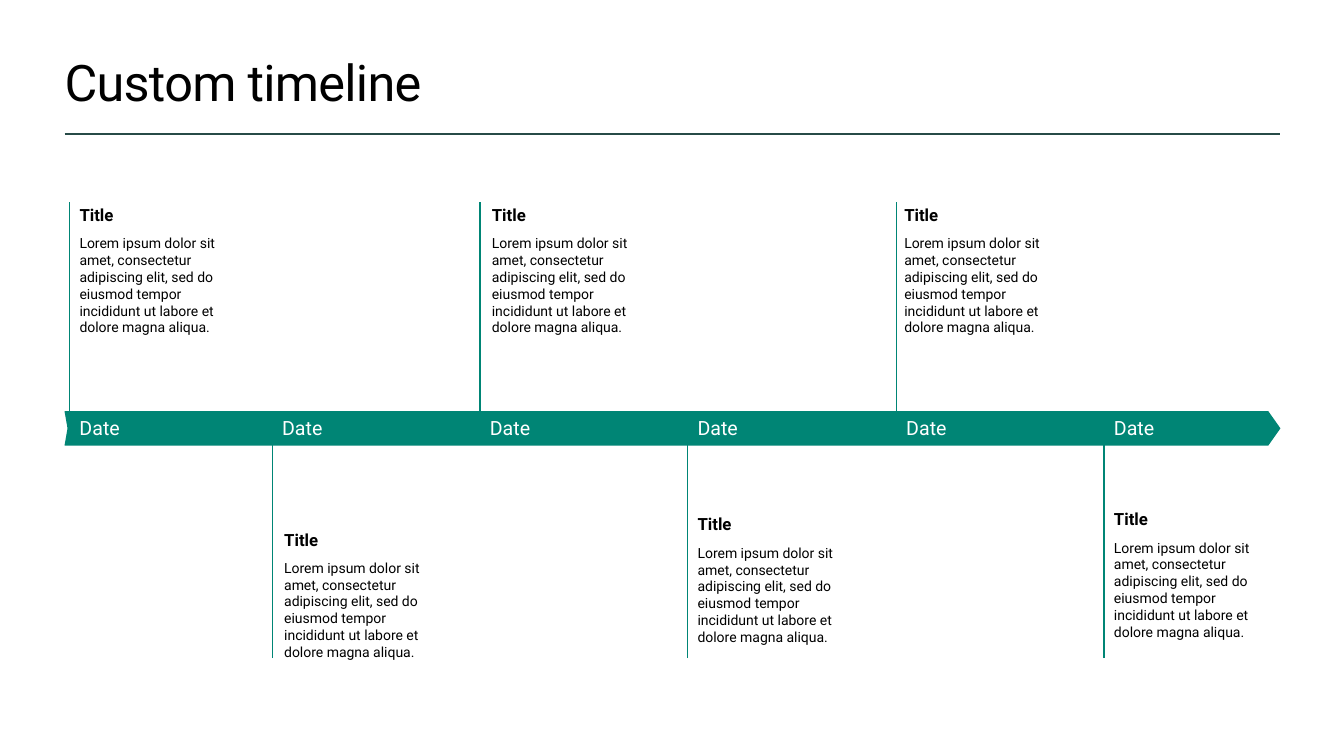
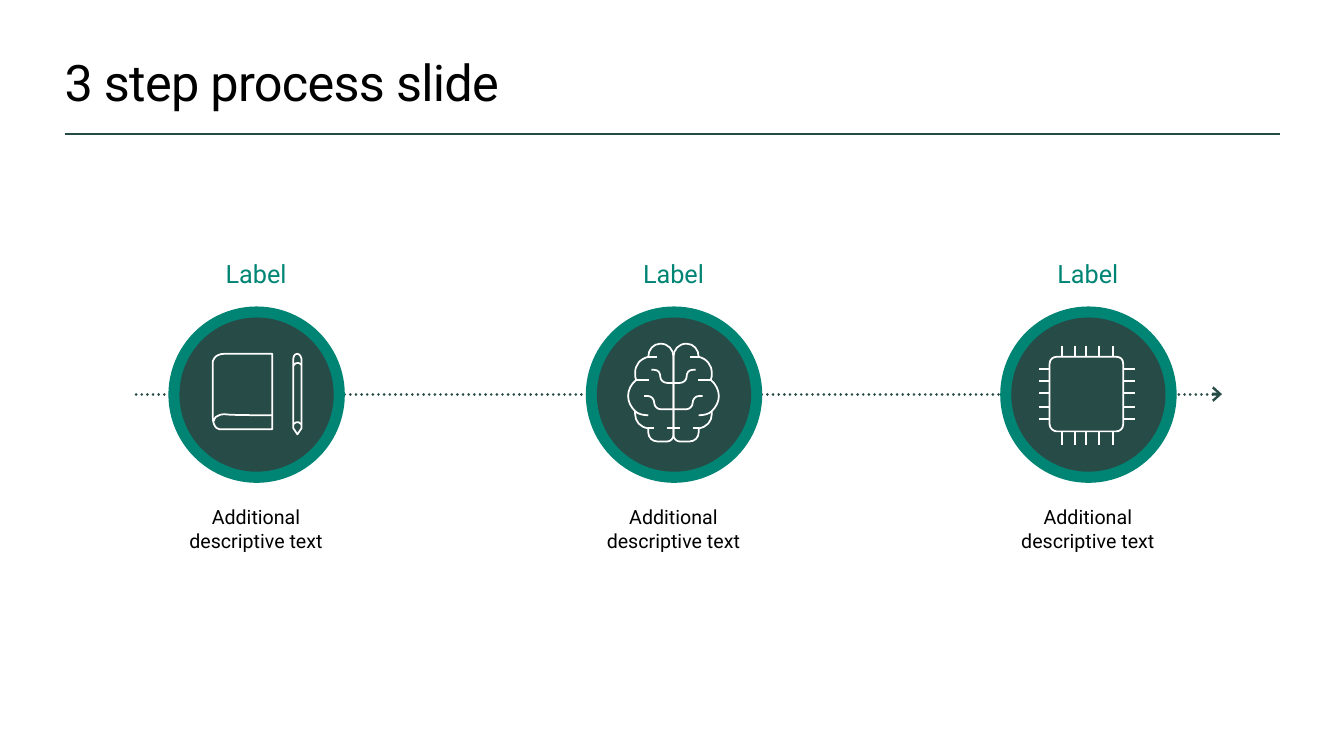
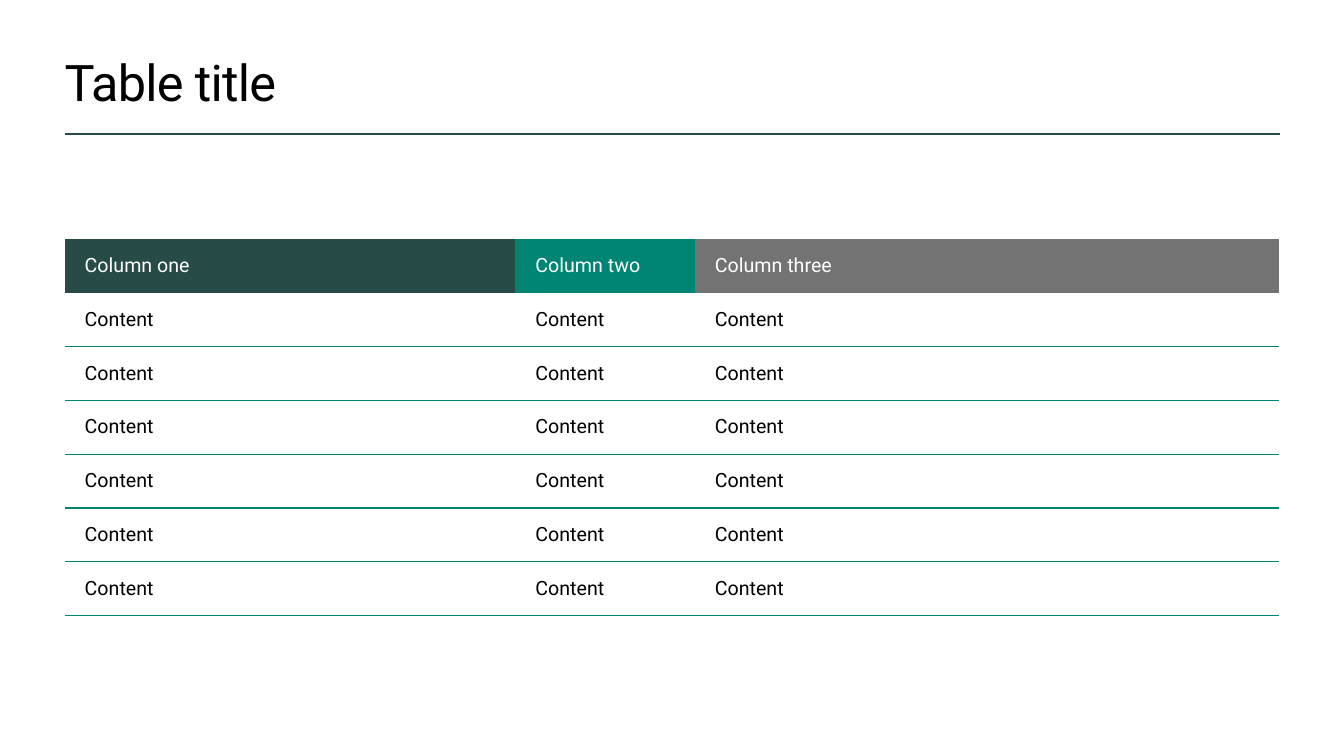
from lxml import etree
from pptx import Presentation
from pptx.dml.color import RGBColor
from pptx.enum.dml import MSO_LINE
from pptx.enum.shapes import MSO_CONNECTOR, MSO_SHAPE
from pptx.enum.text import MSO_ANCHOR, PP_ALIGN
from pptx.oxml.ns import qn
from pptx.util import Pt

PX = 9144  # EMU in one px: 100 px to the inch
FONT = "Roboto"
COLORS = {
    "text": "000000",
    "white": "FFFFFF",
    "dark": "274B47",
    "teal": "008575",
    "gray": "737373",
}
STRAIGHT = MSO_CONNECTOR.STRAIGHT
OVAL = MSO_SHAPE.OVAL
ROUND_DOT = MSO_LINE.ROUND_DOT
TOP, MIDDLE, BOTTOM = MSO_ANCHOR.TOP, MSO_ANCHOR.MIDDLE, MSO_ANCHOR.BOTTOM
LEFT, CENTER = PP_ALIGN.LEFT, PP_ALIGN.CENTER
NO_TABLE_STYLE = "{2D5ABB26-0587-4C30-8999-92F81FD0307C}"

LOREM = ("Lorem ipsum dolor sit amet, consectetur adipiscing elit, sed do "
         "eiusmod tempor incididunt ut labore et dolore magna aliqua.")


# Shared helpers
def px(value):
    return round(value * PX)


def color(name):
    return RGBColor.from_string(COLORS[name])


def style_text(text_frame, size, color_name, bold=False, align=LEFT, spacing=None):
    for paragraph in text_frame.paragraphs:
        paragraph.alignment = align
        for run in paragraph.runs:
            run.font.name = FONT
            run.font.size = Pt(size)
            run.font.bold = bold
            run.font.color.rgb = color(color_name)
            if spacing is not None:
                run._r.get_or_add_rPr().set("spc", str(spacing))


def add_text(slide, box, text, size, color_name="text", inset=(0, 0),
             anchor=TOP, **style):
    text_frame = slide.shapes.add_textbox(*map(px, box)).text_frame
    text_frame.word_wrap = True
    text_frame.vertical_anchor = anchor
    text_frame.margin_left = text_frame.margin_right = px(inset[0])
    text_frame.margin_top = text_frame.margin_bottom = px(inset[1])
    text_frame.text = text
    style_text(text_frame, size, color_name, **style)


def add_line(slide, start, end, color_name, width):
    connector = slide.shapes.add_connector(STRAIGHT, *map(px, start + end))
    connector.line.color.rgb = color(color_name)
    connector.line.width = Pt(width)
    etree.SubElement(connector._element.spPr, qn("a:effectLst"))
    return connector


def fill_plain(shape, color_name):
    shape.shadow.inherit = False
    shape.fill.solid()
    shape.fill.fore_color.rgb = color(color_name)
    shape.line.fill.background()


def add_titled_slide(presentation, title):
    slide = presentation.slides.add_slide(presentation.slide_layouts[6])
    add_line(slide, (64, 133), (1270, 133), "dark", 2)
    add_text(slide, (64, 50, 1205, 61), title, 36, anchor=MIDDLE, spacing=-50)
    return slide


# Icon strokes: a start point, then line ends (x, y) or curves (x1, y1, x2, y2, x, y)
def book_and_pen():
    return [
        [(59, 0), (59, 75), (8, 75), (8, 75, 0, 76, 0, 62), (0, 8),
         (0, 8, 1, 0, 12, 0), (59, 0)],
        [(59, 61), (11, 61, 13, 60, 13, 60), (13, 60, 2, 59, 1, 67)],
        [(84, 80), (88, 74), (88, 5), (88, 5, 87, 0, 84, 0),
         (80, 0, 80, 5, 80, 5), (80, 74), (84, 80)],
        [(88, 11), (83, 6, 80, 12, 80, 12)],
        [(88, 70), (84, 65, 80, 70, 80, 70)],
    ]


def brain():
    # One half, measured outwards from the midline, then mirrored
    half = [
        [(25, 84), (33, 83, 38, 77, 38, 70), (38, 67), (42, 63, 45, 58, 45, 52),
         (45, 46, 42, 40, 37, 36), (38, 34, 38, 32, 38, 29),
         (38, 21, 33, 15, 25, 13), (25, 6, 20, 0, 13, 0), (5, 0, 0, 6, 0, 13),
         (0, 84)],
        [(25, 84), (19, 84)],
        [(6, 84), (0, 84)],
        [(29, 52), (25, 52), (22, 52, 19, 55, 19, 59), (19, 62, 16, 65, 13, 65),
         (0, 65)],
        [(22, 26), (19, 26), (15, 26, 13, 29, 13, 33), (13, 36, 10, 39, 6, 39),
         (0, 39)],
        [(38, 67), (35, 70, 30, 71, 25, 71)],
        [(37, 36), (24, 36)],
        [(25, 13), (16, 13)],
        [(25, 84), (25, 88), (25, 93, 21, 97, 16, 97), (6, 97),
         (3, 97, 0, 94, 0, 91), (0, 84)],
    ]
    return [[tuple(45 + side * value if index % 2 == 0 else value
                   for index, value in enumerate(segment))
             for segment in stroke]
            for side in (-1, 1) for stroke in half]


def chip():
    body = [(76, 85), (17, 85), (14, 85, 10, 82, 10, 78), (10, 18),
            (10, 13, 14, 11, 17, 11), (76, 11), (80, 11, 83, 13, 83, 18),
            (83, 78), (83, 82, 80, 85, 76, 85)]
    columns = [[(x, top), (x, bottom)] for x in (22, 35, 46, 59, 73)
               for top, bottom in ((0, 11), (85, 98))]
    rows = [[(left, y), (right, y)] for y in (23, 35, 47, 61, 73)
            for left, right in ((0, 10), (83, 95))]
    return [body] + columns + rows


def bend_curves(shape, strokes):
    """Join each three line ends that stand for a curve into one Bezier."""
    lines = iter(list(shape._element.iter(qn("a:lnTo"))))
    for stroke in strokes:
        for segment in stroke[1:]:
            line = next(lines)
            if len(segment) == 6:
                line.addprevious(curve := etree.Element(qn("a:cubicBezTo")))
                for part in (line, next(lines), next(lines)):
                    curve.append(part[0])
                    part.getparent().remove(part)


def add_icon(shapes, left, top, strokes):
    builder = None
    for stroke in strokes:
        start, *points = [(px(left + x), px(top + y)) for segment in stroke
                          for x, y in zip(segment[::2], segment[1::2])]
        if builder is None:
            builder = shapes.build_freeform(*start)
        else:
            builder.move_to(*start)
        builder.add_line_segments(points, close=False)
    icon = builder.convert_to_shape()
    bend_curves(icon, strokes)
    icon.shadow.inherit = False
    icon.fill.background()
    icon.line.color.rgb = color("white")
    icon.line.width = Pt(1.25)


# Timeline slide
def add_band(slide, left, top, width, height):
    right, bottom, middle = left + width, top + height, top + height / 2
    corners = [(right - 12, top), (right, middle), (right - 12, bottom),
               (left, bottom), (left + 3, middle)]
    builder = slide.shapes.build_freeform(px(left), px(top))
    builder.add_line_segments([(px(x), px(y)) for x, y in corners])
    fill_plain(builder.convert_to_shape(), "teal")


def add_milestone(slide, left, top):
    inset = (10, 5)
    add_text(slide, (left, top + 28, 181, 123), LOREM, 10, inset=inset)
    add_text(slide, (left, top, 181, 28), "Title", 12, inset=inset,
             anchor=BOTTOM, bold=True)


def build_timeline(presentation):
    slide = add_titled_slide(presentation, "Custom timeline")
    band_top, band_height = 408, 34
    add_band(slide, 64, band_top, 1206, band_height)
    # Line x, text x, title top
    milestones = [(69, 69, 200), (270, 272, 522), (476, 478, 200),
                  (682, 682, 507), (889, 887, 200), (1095, 1095, 502)]
    for index, (line_x, text_x, title_top) in enumerate(milestones):
        start, end = (653, 439) if index % 2 else (414, 200)
        add_line(slide, (line_x, start), (line_x, end), "teal", 1)
        add_milestone(slide, text_x, title_top)
        add_text(slide, (line_x, band_top, 174, band_height), "Date", 14,
                 "white", inset=(10, 5))


# Process slide
def add_step(slide, left, top, icon_offset, strokes):
    width, disc_top = 174, top + 48
    add_text(slide, (left, top, width, 30), "Label", 18, "teal",
             anchor=BOTTOM, align=CENTER)
    shapes = slide.shapes.add_group_shape().shapes
    for inset, color_name in ((0, "teal"), (11, "dark")):
        size = 175 - 2 * inset
        disc = shapes.add_shape(OVAL, px(left + inset), px(disc_top + inset),
                                px(size), px(size))
        fill_plain(disc, color_name)
    add_icon(shapes, left + icon_offset[0], disc_top + icon_offset[1], strokes)
    add_text(slide, (left, top + 245, width, 47), "Additional descriptive text",
             14, align=CENTER)


def build_process(presentation):
    slide = add_titled_slide(presentation, "3 step process slide")
    arrow = add_line(slide, (135, 391), (1212, 391), "dark", 2)
    arrow.line.dash_style = ROUND_DOT
    line = arrow.line._get_or_add_ln()
    line.set("cap", "rnd")
    etree.SubElement(line, qn("a:round"))
    etree.SubElement(line, qn("a:tailEnd"), type="arrow", w="lg", len="med")
    steps = [(167, (44, 47), book_and_pen()), (581, (42, 37), brain()),
             (992, (39, 39), chip())]
    for left, icon_offset, strokes in steps:
        add_step(slide, left, 256, icon_offset, strokes)


# Table slide
def add_bottom_border(cell, color_name, width):
    border = etree.Element(qn("a:lnB"), w=str(Pt(width)))
    fill = etree.SubElement(border, qn("a:solidFill"))
    etree.SubElement(fill, qn("a:srgbClr"), val=COLORS[color_name])
    cell._tc.get_or_add_tcPr().insert(0, border)


def add_content_table(slide, left, top):
    widths = [447, 178, 269, 311]
    heights = [0] + [41] * 7  # rows grow to fit their text
    header = ["Column one", "Column two", "Column three", ""]
    header_fills = ["dark", "teal", "gray", "gray"]
    rows = [header] + [["Content"] * 3 + [""]] * 6 + [[""] * 4]

    frame = slide.shapes.add_table(len(rows), len(widths), px(left), px(top),
                                   px(sum(widths)), px(433))
    table = frame.table
    table.first_row = table.horz_banding = False
    table._tbl.tblPr.find(qn("a:tableStyleId")).text = NO_TABLE_STYLE
    for column, width in zip(table.columns, widths):
        column.width = px(width)
    for row, height in zip(table.rows, heights):
        row.height = px(height)
    frame.height = px(433)

    for row_index, texts in enumerate(rows):
        is_header = row_index == 0
        for column_index, text in enumerate(texts):
            cell = table.cell(row_index, column_index)
            if text:
                cell.text = text
                cell.margin_left = cell.margin_right = px(20)
                cell.margin_top = cell.margin_bottom = px(15)
                cell.vertical_anchor = TOP if is_header else MIDDLE
                style_text(cell.text_frame, 14, "white" if is_header else "text")
            if is_header:
                cell.fill.solid()
                cell.fill.fore_color.rgb = color(header_fills[column_index])
            else:
                cell.fill.background()
                if row_index < len(rows) - 1:
                    add_bottom_border(cell, "teal", 1)


def build_table(presentation):
    slide = add_titled_slide(presentation, "Table title")
    add_content_table(slide, 64, 237)


def main():
    presentation = Presentation()
    presentation.slide_width = px(1333)
    presentation.slide_height = px(750)
    build_timeline(presentation)
    build_process(presentation)
    build_table(presentation)
    presentation.save("out.pptx")


if __name__ == "__main__":
    main()
